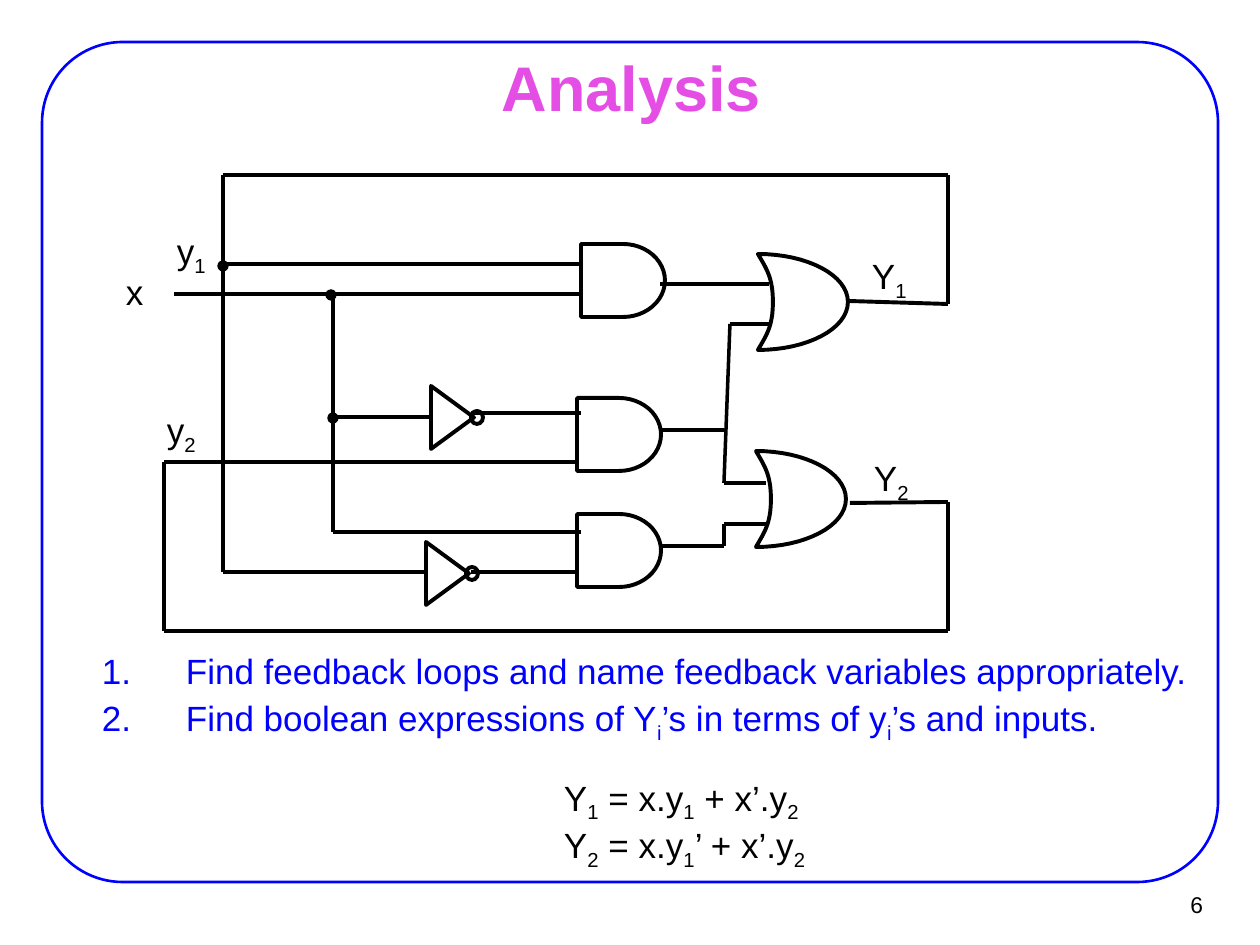
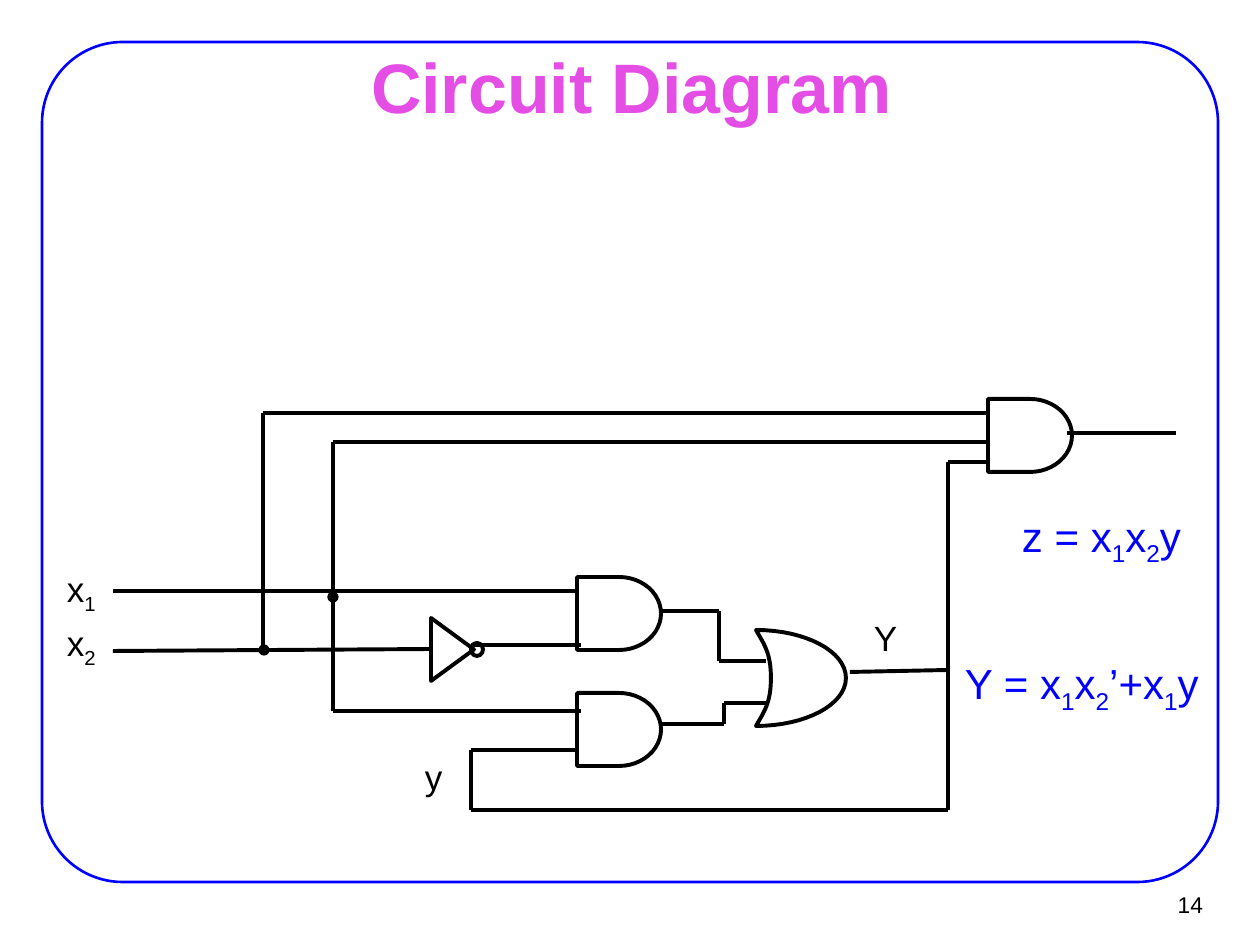
"""Build two slides on asynchronous logic circuits."""
from itertools import pairwise

from lxml import etree
from pptx import Presentation
from pptx import util as u
from pptx.dml.color import RGBColor
from pptx.enum import shapes, text
from pptx.oxml import ns

EMU_PER_PX = 914400 / 126
FONT, BLACK, BLUE, PINK = "Arial", "000000", "0000FF", "E44EE4"
SHAPE, ALIGN, ANCHOR = shapes.MSO_SHAPE, text.PP_ALIGN, text.MSO_ANCHOR
FRAME = (42, 42, 1176, 840)
TITLE_BOX = (96, 55, 1071, 62)
NUMBER_BOX = (1137, 881, 77, 47)
AND_SIZE, NOT_SIZE, BUBBLE_SIZE = (84, 73), (43, 63), (12, 13)
DOT, LABEL_SIZE = 10, (63, 60)
OR_CURVES = [
    ((0, 0), (8, 14), (15, 23), (15, 48)),
    ((15, 48), (15, 73), (8, 82), (0, 96)),
    ((0, 96), (49, 96), (90, 75), (90, 48)),
    ((90, 48), (90, 21), (49, 0), (0, 0)),
]
CURVE_STEPS = 16

SLIDES = [
    {
        "title": "Analysis", "title_size": 36, "number": "6",
        "wires": [
            [(174, 294), (581, 294)],
            [(223, 264), (581, 264)],
            [(333, 294), (333, 532), (581, 532)],
            [(330, 417), (431, 417)],
            [(471, 413), (581, 413)],
            [(471, 572), (577, 572)],
            [(660, 284), (769, 284)],
            [(662, 430), (724, 430)],
            [(766, 483), (724, 483), (730, 324), (769, 324)],
            [(662, 546), (724, 546), (724, 524), (766, 524)],
            [(848, 301), (948, 304), (948, 175), (223, 175), (223, 572), (426, 572)],
            [(850, 503), (948, 502), (948, 631), (164, 631), (164, 462), (577, 462)],
        ],
        "and": [(581, 244), (577, 398), (577, 514)],
        "or": [(758, 254), (756, 451)],
        "not": [(431, 386), (426, 542)],
        "dots": [(331, 295), (333, 418), (223, 266)],
        "labels": [("y_1", 164, 224), ("x", 113, 265), ("y_2", 154, 403),
                   ("Y_1", 859, 249), ("Y_2", 861, 451)],
        "texts": [
            (["Find feedback loops and name feedback variables appropriately."],
             (25, 651, 1211, 60),
             dict(color=BLUE, margin=147, indent=-84, before=5, spacing=0.8,
                  start=1, inset=(14, 7))),
            (["Find boolean expressions of Y_i’s in terms of y_i’s and inputs."],
             (25, 690, 1211, 60),
             dict(color=BLUE, margin=147, indent=-84, before=5, start=2,
                  inset=(14, 7))),
            (["Y_1 = x.y_1 + x’.y_2", "Y_2 = x.y_1’ + x’.y_2"],
             (551, 770, 500, 156), {}),
        ],
    },
    {
        "title": "Circuit Diagram", "title_size": 40, "number": "14",
        "wires": [
            [(113, 591), (577, 591)],
            [(113, 651), (431, 649)],
            [(263, 651), (263, 413), (988, 413)],
            [(988, 442), (333, 442), (333, 711), (581, 711)],
            [(471, 645), (581, 645)],
            [(660, 611), (719, 611), (719, 661), (766, 661)],
            [(662, 724), (724, 724), (724, 703), (766, 703)],
            [(850, 672), (948, 670)],
            [(577, 750), (471, 750), (471, 810), (948, 810), (948, 462), (988, 462)],
            [(1067, 433), (1176, 433)],
        ],
        "and": [(577, 577), (577, 693), (988, 399)],
        "or": [(756, 630)],
        "not": [(431, 618)],
        "dots": [(264, 650), (333, 597)],
        "labels": [("x_1", 54, 562), ("x_2", 54, 616), ("y", 412, 750),
                   ("Y", 861, 611)],
        "texts": [
            (["z = x_1x_2y"], (945, 503, 271, 106),
             dict(size=24, color=BLUE, margin=102, indent=-39, before=6, inset=(14, 7))),
            (["Y = x_1x_2’+x_1y"], (888, 651, 372, 89),
             dict(size=24, color=BLUE, margin=102, indent=-39, before=6, inset=(14, 7))),
        ],
    },
]


def px(length):
    return u.Emu(round(length * EMU_PER_PX))


def rgb(value):
    return RGBColor.from_string(value)


def add_spans(para, line, size, color, bold):
    """Write a line in which an underscore lowers the next character."""
    first, *rest = line.split("_")
    pieces = [(first, False)]
    for part in rest:
        pieces += [(part[0], True), (part[1:], False)]
    for piece, lowered in pieces:
        if not piece:
            continue
        span = para.add_run()
        span.text = piece
        span.font.name, span.font.size, span.font.bold = FONT, u.Pt(size), bold
        span.font.color.rgb = rgb(color)
        if lowered:
            span._r.get_or_add_rPr().set("baseline", "-25000")


def write(box, lines, size=20, color=BLACK, bold=False, align=ALIGN.LEFT,
          anchor=ANCHOR.TOP, inset=(13, 6), margin=0, indent=0, before=0,
          spacing=None, start=None):
    """Fill a box with formatted paragraphs."""
    frame = box.text_frame
    frame.word_wrap, frame.auto_size = True, text.MSO_AUTO_SIZE.NONE
    frame.vertical_anchor = anchor
    frame.margin_left = frame.margin_right = px(inset[0])
    frame.margin_top = frame.margin_bottom = px(inset[1])
    for index, line in enumerate(lines):
        para = frame.add_paragraph() if index else frame.paragraphs[0]
        para.alignment, para.space_before = align, u.Pt(before)
        if spacing:
            para.line_spacing = spacing
        props = para._p.get_or_add_pPr()
        props.set("marL", str(px(margin)))
        props.set("indent", str(px(indent)))
        if start:
            etree.SubElement(props, ns.qn("a:buAutoNum"), type="arabicPeriod",
                             startAt=str(start))
        add_spans(para, line, size, color, bold)


def add_text(page, lines, place, **style):
    write(page.shapes.add_textbox(*map(px, place)), lines, **style)


def outline(shape, color=BLACK, width=2.25, fill=None):
    shape.shadow.inherit = False
    shape.line.color.rgb, shape.line.width = rgb(color), u.Pt(width)
    if fill:
        shape.fill.solid()
        shape.fill.fore_color.rgb = rgb(fill)
    else:
        shape.fill.background()
    return shape


def add_outline(page, kind, place, **style):
    return outline(page.shapes.add_shape(kind, *map(px, place)), **style)


def add_wire(page, points):
    for begin, end in pairwise(points):
        wire = page.shapes.add_connector(
            shapes.MSO_CONNECTOR.STRAIGHT, *map(px, begin + end))
        steep = abs(end[1] - begin[1]) > abs(end[0] - begin[0])
        wire.line.color.rgb = rgb(BLACK)
        wire.line.width = u.Pt(2 if steep else 2.25)
        etree.SubElement(wire._element.spPr, ns.qn("a:effectLst"))


def curve_point(curve, t):
    weights = ((1 - t) ** 3, 3 * t * (1 - t) ** 2, 3 * t * t * (1 - t), t ** 3)
    return [sum(w * point[axis] for w, point in zip(weights, curve))
            for axis in (0, 1)]


def add_or_gate(page, left, top):
    points = [curve_point(curve, step / CURVE_STEPS)
              for curve in OR_CURVES for step in range(1, CURVE_STEPS + 1)]
    builder = page.shapes.build_freeform(px(left), px(top))
    builder.add_line_segments([(px(left + x), px(top + y)) for x, y in points])
    outline(builder.convert_to_shape())


def add_not_gate(page, left, top):
    """Turn a triangle to the right and put the bubble on its tip."""
    width, height = NOT_SIZE
    shift = (height - width) / 2
    triangle = add_outline(page, SHAPE.ISOSCELES_TRIANGLE,
                           (left - shift, top + shift, height, width))
    triangle.rotation = 90
    add_outline(page, SHAPE.OVAL, (left + 40, top + 25, *BUBBLE_SIZE))


def add_circuit(page, circuit):
    for points in circuit["wires"]:
        add_wire(page, points)
    for corner in circuit["and"]:
        add_outline(page, SHAPE.FLOWCHART_DELAY, corner + AND_SIZE)
    for corner in circuit["or"]:
        add_or_gate(page, *corner)
    for corner in circuit["not"]:
        add_not_gate(page, *corner)
    for x, y in circuit["dots"]:
        add_outline(page, SHAPE.OVAL, (x - DOT / 2, y - DOT / 2, DOT, DOT),
                    width=0.75, fill=BLACK)
    for label, left, top in circuit["labels"]:
        add_text(page, [label], (left, top, *LABEL_SIZE))


def add_page(deck, content):
    page = deck.slides.add_slide(deck.slide_layouts[5])
    frame = add_outline(page, SHAPE.ROUNDED_RECTANGLE, FRAME, color=BLUE, width=1.5)
    frame.adjustments[0] = 0.096
    title = page.shapes.title
    title.left, title.top, title.width, title.height = map(px, TITLE_BOX)
    write(title, [content["title"]], size=content["title_size"], color=PINK,
          bold=True, align=ALIGN.CENTER, anchor=ANCHOR.MIDDLE, inset=(14, 7))
    add_text(page, [content["number"]], NUMBER_BOX, size=13, align=ALIGN.RIGHT,
             anchor=ANCHOR.MIDDLE, inset=(11, 5))
    add_circuit(page, content)
    for lines, place, style in content["texts"]:
        add_text(page, lines, place, **style)


def main():
    deck = Presentation()
    deck.slide_width, deck.slide_height = px(1260), px(945)
    for content in SLIDES:
        add_page(deck, content)
    deck.save("out.pptx")


if __name__ == "__main__":
    main()
